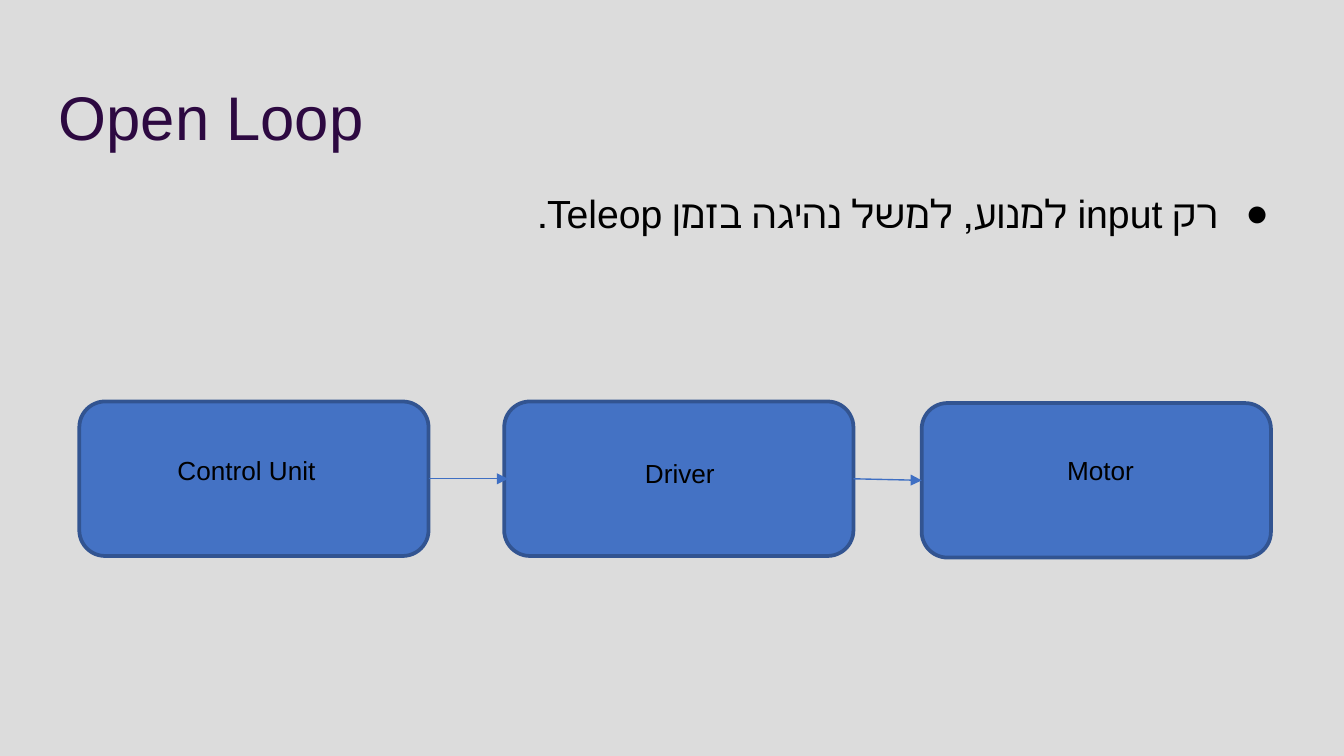
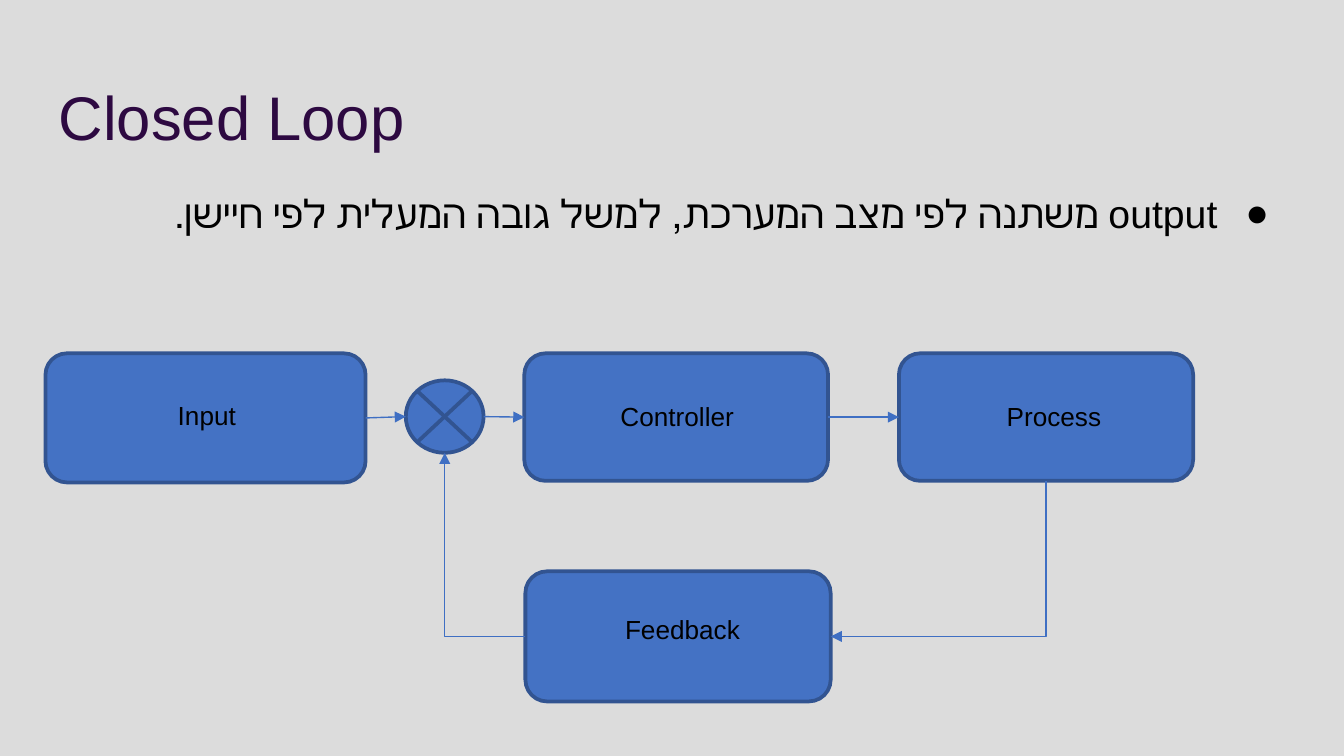
from dataclasses import dataclass

from lxml.etree import SubElement
from pptx import Presentation
from pptx.dml.color import RGBColor
from pptx.enum.shapes import MSO_CONNECTOR, MSO_SHAPE
from pptx.enum.text import MSO_ANCHOR, MSO_AUTO_SIZE, PP_ALIGN
from pptx.oxml.ns import qn
from pptx.slide import Slide
from pptx.util import Cm, Pt

BACKGROUND = RGBColor(0xDC, 0xDC, 0xDC)
TITLE_PURPLE = RGBColor(0x2D, 0x09, 0x41)
INK = RGBColor(0x00, 0x00, 0x00)
BLOCK_FILL = RGBColor(0x44, 0x72, 0xC4)
BLOCK_EDGE = RGBColor(0x32, 0x54, 0x91)
ARROW_BLUE = RGBColor(0x3F, 0x6F, 0xC3)
FONT = "Arial"

Point = tuple[float, float]


# All measures below are in centimetres
@dataclass(frozen=True)
class Box:
    left: float
    top: float
    width: float
    height: float

    @property
    def west(self) -> Point:
        return self.left, self.top + self.height / 2

    @property
    def east(self) -> Point:
        return self.left + self.width, self.top + self.height / 2

    @property
    def south(self) -> Point:
        return self.left + self.width / 2, self.top + self.height

    def lengths(self) -> tuple[Cm, Cm, Cm, Cm]:
        return Cm(self.left), Cm(self.top), Cm(self.width), Cm(self.height)


@dataclass(frozen=True)
class Block:
    box: Box
    label: str
    label_at: Point


@dataclass(frozen=True)
class Arrow:
    start: Point
    end: Point
    turn: int | None = None  # rotation in degrees of a one-corner arrow


@dataclass(frozen=True)
class LoopSlide:
    title: str
    statement: str
    blocks: list[Block]
    arrows: list[Arrow]
    junction: Box | None = None


TITLE_BOX = Box(0.86, 1.24, 23.67, 1.6)
STATEMENT_BOX = Box(0.86, 3.2, 23.67, 9.5)
LABEL_SIZE = (4.88, 0.86)


def add_text(slide: Slide, box: Box, text: str, size: float, color: RGBColor,
             align: PP_ALIGN, inset: float = 0.13, grow: bool = False):
    """Write one paragraph in a wrapping text box and return it."""
    frame = slide.shapes.add_textbox(*box.lengths()).text_frame
    frame.text = text
    frame.word_wrap = True
    frame.auto_size = MSO_AUTO_SIZE.SHAPE_TO_FIT_TEXT if grow else MSO_AUTO_SIZE.NONE
    frame.vertical_anchor = MSO_ANCHOR.TOP
    frame.margin_left = frame.margin_right = Cm(0.25)
    frame.margin_top = frame.margin_bottom = Cm(inset)
    paragraph = frame.paragraphs[0]
    paragraph.alignment = align
    for run in paragraph.runs:
        run.font.name = FONT
        run.font.size = Pt(size)
        run.font.color.rgb = color
    return paragraph


def add_title(slide: Slide, title: str) -> None:
    paragraph = add_text(slide, TITLE_BOX, title, 33, TITLE_PURPLE, PP_ALIGN.LEFT, 0.25)
    paragraph._p.get_or_add_pPr().set("rtl", "1")


def add_statement(slide: Slide, statement: str) -> None:
    """Write the right-to-left bullet under the title."""
    paragraph = add_text(slide, STATEMENT_BOX, statement, 21, INK, PP_ALIGN.RIGHT, 0.25)
    paragraph.line_spacing = 1.15
    properties = paragraph._p.get_or_add_pPr()
    properties.set("marL", str(Cm(1.27)))
    properties.set("marR", "0")
    properties.set("indent", str(-Cm(0.97)))
    properties.set("rtl", "1")
    bullet_color = SubElement(properties, qn("a:buClr"))
    SubElement(bullet_color, qn("a:srgbClr")).set("val", str(INK))
    SubElement(properties, qn("a:buFont")).set("typeface", FONT)
    SubElement(properties, qn("a:buChar")).set("char", "●")


def add_node(slide: Slide, box: Box, preset: MSO_SHAPE) -> None:
    node = slide.shapes.add_shape(preset, *box.lengths())
    node.shadow.inherit = False
    node.fill.solid()
    node.fill.fore_color.rgb = BLOCK_FILL
    node.line.color.rgb = BLOCK_EDGE
    node.line.width = Pt(2)


def add_arrow(slide: Slide, arrow: Arrow) -> None:
    (x1, y1), (x2, y2) = arrow.start, arrow.end
    kind = MSO_CONNECTOR.STRAIGHT
    if arrow.turn is not None:
        # The frame is stored unrotated around the same centre
        kind = MSO_CONNECTOR.ELBOW
        center_x, center_y = (x1 + x2) / 2, (y1 + y2) / 2
        half_w, half_h = abs(x2 - x1) / 2, abs(y2 - y1) / 2
        if arrow.turn % 180:
            half_w, half_h = half_h, half_w
        x1, x2 = center_x - half_w, center_x + half_w
        y1, y2 = center_y - half_h, center_y + half_h
    connector = slide.shapes.add_connector(kind, Cm(x1), Cm(y1), Cm(x2), Cm(y2))
    connector.line.color.rgb = ARROW_BLUE
    connector.line.width = Pt(0.75)
    properties = connector._element.spPr
    if arrow.turn is not None:
        properties.find(qn("a:xfrm")).set("rot", str(arrow.turn * 60000))
        properties.find(qn("a:prstGeom")).set("prst", "bentConnector2")
    SubElement(properties.find(qn("a:ln")), qn("a:tailEnd")).set("type", "triangle")
    SubElement(properties, qn("a:effectLst"))


def add_loop_slide(presentation: Presentation, loop: LoopSlide) -> None:
    slide = presentation.slides.add_slide(presentation.slide_layouts[6])
    slide.background.fill.solid()
    slide.background.fill.fore_color.rgb = BACKGROUND
    add_title(slide, loop.title)
    add_statement(slide, loop.statement)
    for block in loop.blocks:
        add_node(slide, block.box, MSO_SHAPE.ROUNDED_RECTANGLE)
    for block in loop.blocks:
        add_text(slide, Box(*block.label_at, *LABEL_SIZE), block.label, 14, INK,
                 PP_ALIGN.CENTER, grow=True)
    if loop.junction:
        add_node(slide, loop.junction, MSO_SHAPE.FLOWCHART_SUMMING_JUNCTION)
    for arrow in loop.arrows:
        add_arrow(slide, arrow)


# Open loop: three blocks in a row
control_unit = Box(1.5, 7.59, 6.6, 2.92)
driver = Box(9.53, 7.59, 6.6, 2.92)
motor = Box(17.42, 7.62, 6.6, 2.92)
OPEN_LOOP = LoopSlide(
    title="Open Loop",
    statement="רק input למנוע, למשל נהיגה בזמן Teleop.",
    blocks=[
        Block(control_unit, "Control Unit ", (2.29, 8.46)),
        Block(driver, "Driver", (10.41, 8.51)),
        Block(motor, "Motor", (18.36, 8.46)),
    ],
    arrows=[
        Arrow(control_unit.east, (9.6, 9.05)),
        Arrow(driver.east, motor.west),
    ],
)

# Closed loop: the process returns to the junction through the feedback
source = Box(0.86, 6.68, 6.05, 2.44)
junction = Box(7.67, 7.19, 1.47, 1.37)
controller = Box(9.91, 6.68, 5.74, 2.41)
process = Box(16.99, 6.68, 5.56, 2.41)
feedback = Box(9.93, 10.8, 5.77, 2.46)
CLOSED_LOOP = LoopSlide(
    title="Closed Loop",
    statement="output משתנה לפי מצב המערכת, למשל גובה המעלית לפי חיישן.",
    blocks=[
        Block(source, "Input", (1.47, 7.42)),
        Block(controller, "Controller", (10.36, 7.44)),
        Block(process, "Process", (17.48, 7.44)),
        Block(feedback, "Feedback", (10.46, 11.46)),
    ],
    arrows=[
        Arrow(source.east, junction.west),
        Arrow(junction.east, controller.west),
        Arrow(controller.east, process.west),
        Arrow(process.south, feedback.east, turn=90),
        Arrow(feedback.west, junction.south, turn=180),
    ],
    junction=junction,
)


def main() -> None:
    presentation = Presentation()
    presentation.slide_width = Cm(25.4)
    presentation.slide_height = Cm(14.29)
    for loop in (OPEN_LOOP, CLOSED_LOOP):
        add_loop_slide(presentation, loop)
    presentation.save("out.pptx")


if __name__ == "__main__":
    main()
